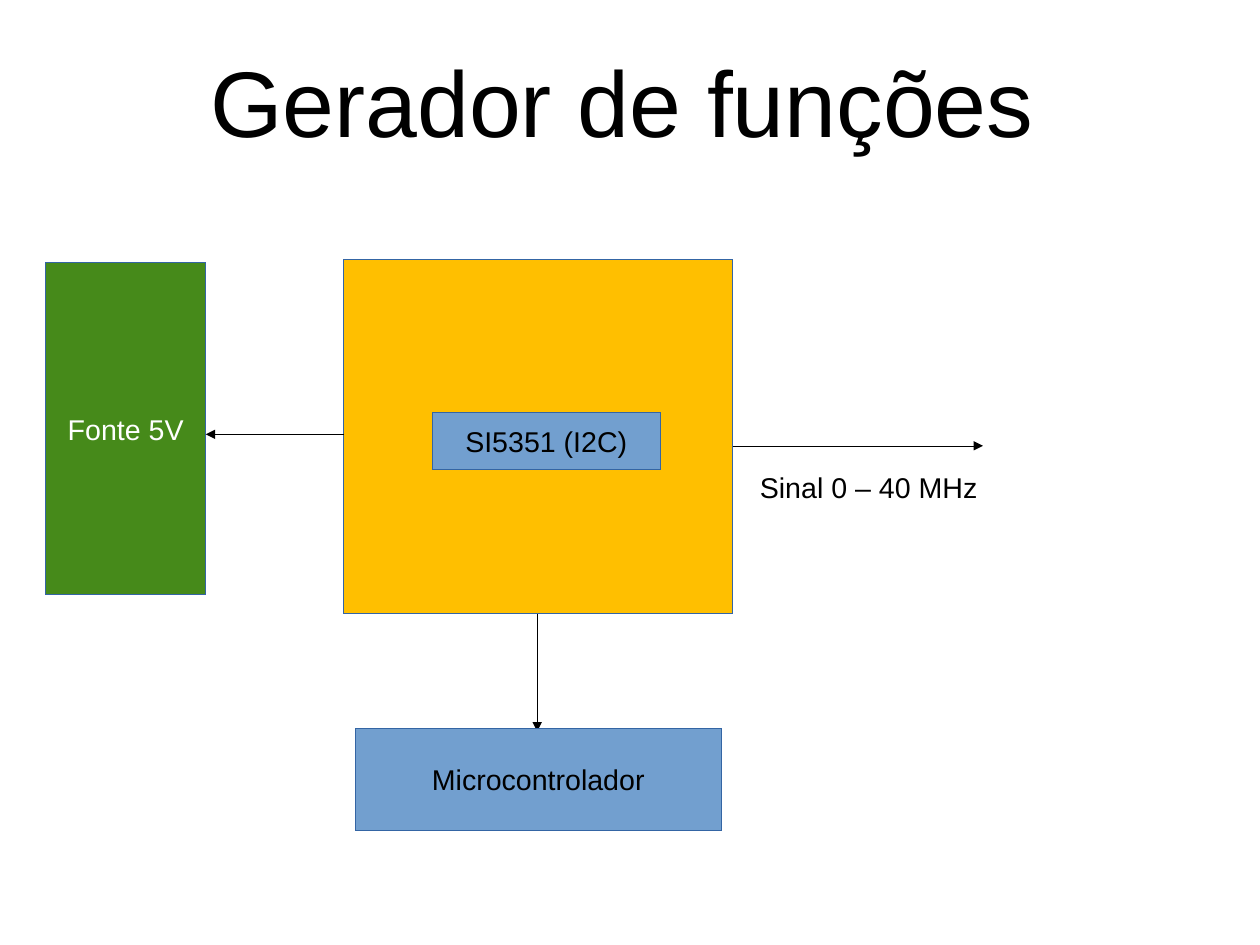
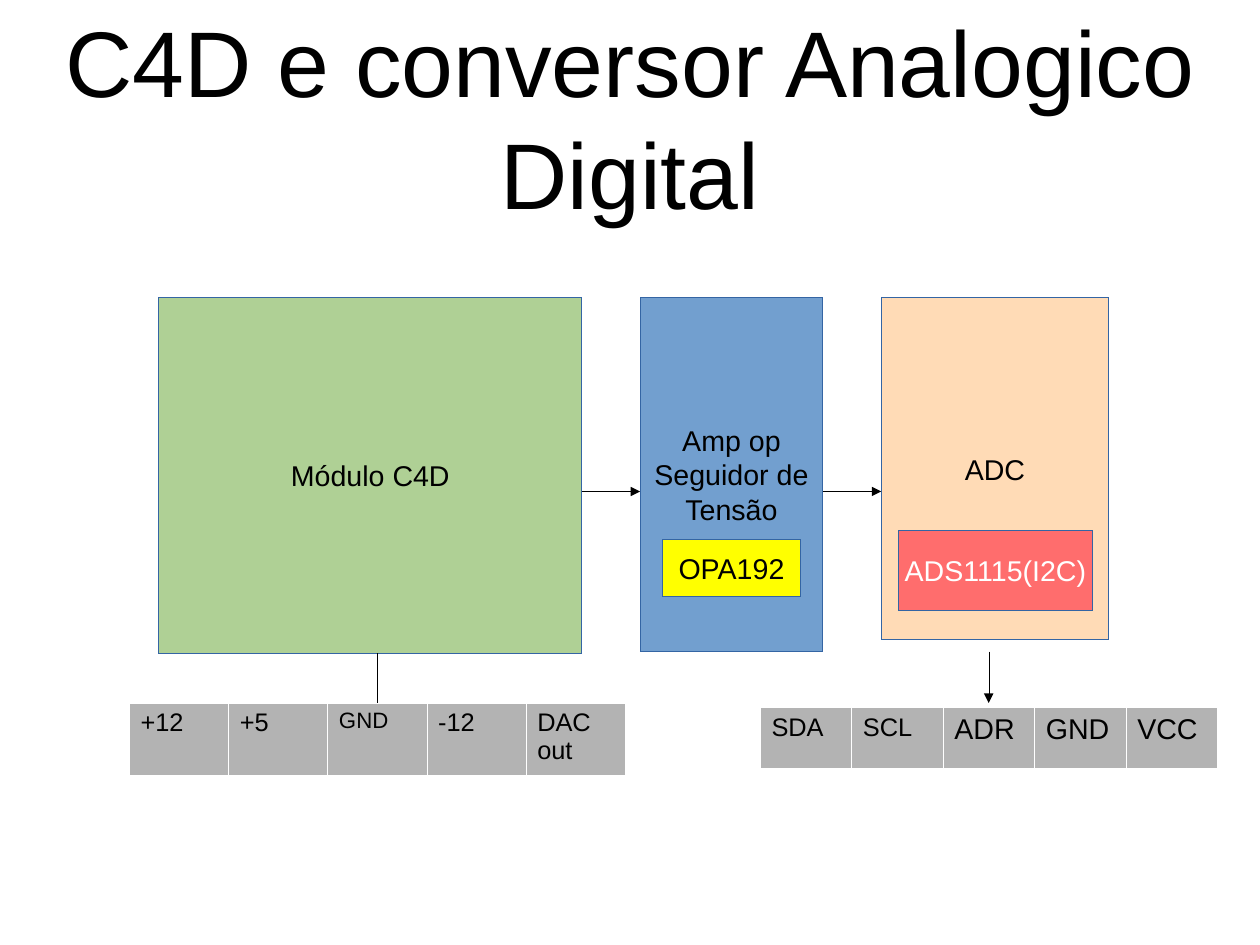
from collections import namedtuple

from lxml.etree import SubElement
from pptx import Presentation
from pptx.dml.color import RGBColor
from pptx.enum.shapes import MSO_CONNECTOR as CONNECTOR, MSO_SHAPE as SHAPE
from pptx.enum.text import MSO_ANCHOR as ANCHOR, MSO_AUTO_SIZE as AUTO_SIZE, PP_ALIGN as ALIGN
from pptx.oxml.ns import qn
from pptx.util import Inches, Mm, Pt

FONT = "Arial"
BLACK, WHITE = "000000", "FFFFFF"
BLUE, OUTLINE, GRAY = "729FCF", "3465A4", "B3B3B3"
YELLOW, AMBER, GREEN = "FFFF00", "FFBF00", "468A1A"
LIGHT_GREEN, PEACH, RED = "AFD095", "FFDBB6", "FF6D6D"
TITLE_SIZE, BODY_SIZE = 58.7, 18
HAIRLINE = Pt(0.01)


class Box(namedtuple("Box", "left top width height")):
    """A rectangle in inches."""

    @property
    def right(self):
        return self.left + self.width

    @property
    def bottom(self):
        return self.top + self.height

    def inner(self, left, top, width, height):
        """A box whose offset is measured from this one."""
        return Box(self.left + left, self.top + top, width, height)

    def lengths(self):
        return [Inches(value) for value in self]


def color(hex_string):
    return RGBColor.from_string(hex_string)


def set_text(frame, text, size=BODY_SIZE, ink=BLACK, align=ALIGN.CENTER):
    frame.text = text
    for para in frame.paragraphs:
        para.alignment = align
        para.font.name = FONT
        para.font.size = Pt(size)
        para.font.color.rgb = color(ink)


def set_line(line, ink):
    line.color.rgb = color(ink)
    line.width = HAIRLINE


def add_page(deck, title, box):
    page = deck.slides.add_slide(deck.slide_layouts[5])
    holder = page.shapes.title
    holder.left, holder.top, holder.width, holder.height = box.lengths()
    frame = holder.text_frame
    frame.margin_left = frame.margin_right = frame.margin_top = frame.margin_bottom = 0
    frame.vertical_anchor = ANCHOR.MIDDLE
    frame.word_wrap = True
    frame.auto_size = AUTO_SIZE.NONE
    set_text(frame, title, TITLE_SIZE)
    return page


def add_block(page, box, fill, text="", ink=BLACK):
    block = page.shapes.add_shape(SHAPE.RECTANGLE, *box.lengths())
    block.shadow.inherit = False
    block.fill.solid()
    block.fill.fore_color.rgb = color(fill)
    set_line(block.line, OUTLINE)
    if text:
        frame = block.text_frame
        frame.word_wrap = False
        frame.vertical_anchor = ANCHOR.MIDDLE
        set_text(frame, text, ink=ink)


def add_link(page, start, end, arrow=True):
    points = [Inches(value) for value in (*start, *end)]
    link = page.shapes.add_connector(CONNECTOR.STRAIGHT, *points)
    set_line(link.line, BLACK)
    properties = link._element.spPr
    if arrow:
        SubElement(properties.find(qn("a:ln")), qn("a:tailEnd"), type="triangle")
    SubElement(properties, qn("a:effectLst"))


def add_label(page, box, text):
    label = page.shapes.add_textbox(*box.lengths())
    label.text_frame.word_wrap = True
    set_text(label.text_frame, text, align=ALIGN.LEFT)


def add_borders(cell):
    properties = cell._tc.get_or_add_tcPr()
    for side in ("a:lnL", "a:lnR", "a:lnT", "a:lnB"):
        border = SubElement(properties, qn(side), w="720")
        fill = SubElement(border, qn("a:solidFill"))
        SubElement(fill, qn("a:srgbClr"), val=WHITE)


def add_pins(page, box, pins):
    """One-row table of (name, text size) pins in equal columns."""
    table = page.shapes.add_table(1, len(pins), *box.lengths()).table
    table.first_row = table.horz_banding = False
    for column, cell, (name, size) in zip(table.columns, table.rows[0].cells, pins):
        column.width = Inches(box.width / len(pins))
        add_borders(cell)
        cell.fill.solid()
        cell.fill.fore_color.rgb = color(GRAY)
        set_text(cell.text_frame, name, size, align=ALIGN.LEFT)


def build_generator(deck):
    page = add_page(deck, "Gerador de funções", Box(0.48, 0.19, 9.92, 1.38))
    generator = Box(3.01, 2.27, 3.4, 3.1)
    supply = Box(0.4, 2.3, 1.4, 2.9)
    controller = generator.inner(0.1, 4.1, 3.2, 0.9)
    middle, supply_y, signal_y = 4.7, 3.8, 3.9

    add_block(page, generator, AMBER)
    add_link(page, (middle, generator.bottom), (middle, controller.top + 0.03))
    add_block(page, controller, BLUE, "Microcontrolador")
    add_block(page, supply, GREEN, "Fonte 5V", WHITE)
    add_link(page, (generator.left, supply_y), (supply.right, supply_y))
    add_link(page, (generator.right, signal_y), (8.6, signal_y))
    add_label(page, Box(generator.right + 0.14, signal_y + 0.16, 2.2, 0.5), "Sinal 0 – 40 MHz")
    add_block(page, generator.inner(0.77, 1.34, 2, 0.5), BLUE, "SI5351 (I2C)")


def build_converter(deck):
    page = add_page(deck, "C4D e conversor Analogico Digital", Box(0.55, 0.11, 9.92, 1.82))
    top, gap, signal_y, pins_y = 2.6, 0.51, 4.3, 6.15
    module = Box(1.39, top, 3.7, 3.12)
    follower = Box(module.right + gap, top, 1.6, 3.1)
    adc = Box(follower.right + gap, top, 1.99, 3)
    module_x, adc_x = 3.3, 8.65

    add_pins(page, Box(1.13, pins_y, 4.34, 0.63),
             [("+12", 16), ("+5", 16), ("GND", 14), ("-12", 16), ("DAC out", 16)])
    add_block(page, adc, PEACH, "ADC")
    add_block(page, module, LIGHT_GREEN, "Módulo C4D")
    add_link(page, (module.right, signal_y), (follower.left, signal_y))
    add_link(page, (adc_x, follower.bottom), (adc_x, pins_y))
    add_link(page, (module_x, module.bottom), (module_x, pins_y), arrow=False)
    add_block(page, adc.inner(0.15, 2.04, 1.7, 0.7), RED, "ADS1115(I2C)", WHITE)
    add_pins(page, Box(6.65, pins_y + 0.04, 4, 0.53),
             [("SDA", 16), ("SCL", 16), ("ADR", 18), ("GND", 18), ("VCC", 18)])
    add_block(page, follower, BLUE, "Amp op\nSeguidor de\nTensão")
    add_block(page, follower.inner(0.2, 2.12, 1.2, 0.5), YELLOW, "OPA192")
    add_link(page, (follower.right, signal_y), (adc.left, signal_y))


def main():
    deck = Presentation()
    deck.slide_width, deck.slide_height = Mm(280), Mm(210)
    build_generator(deck)
    build_converter(deck)
    deck.save("out.pptx")


if __name__ == "__main__":
    main()
